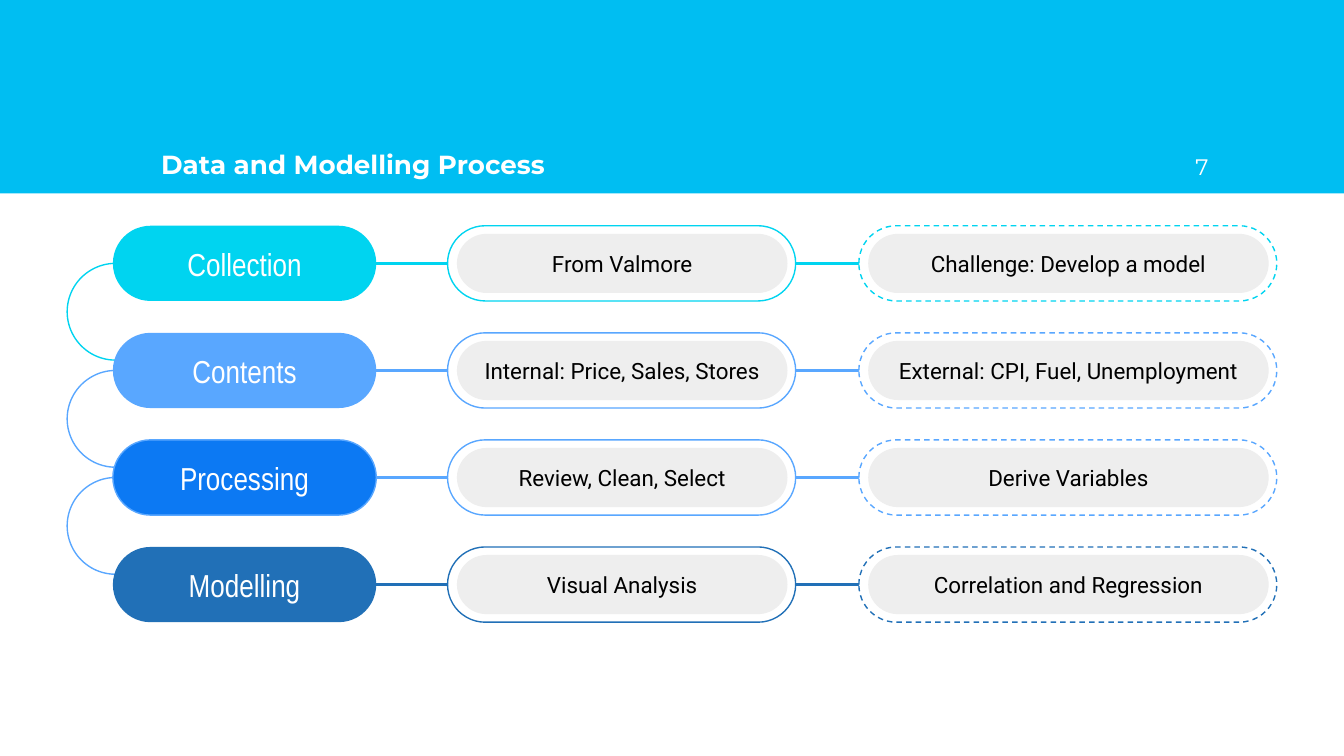
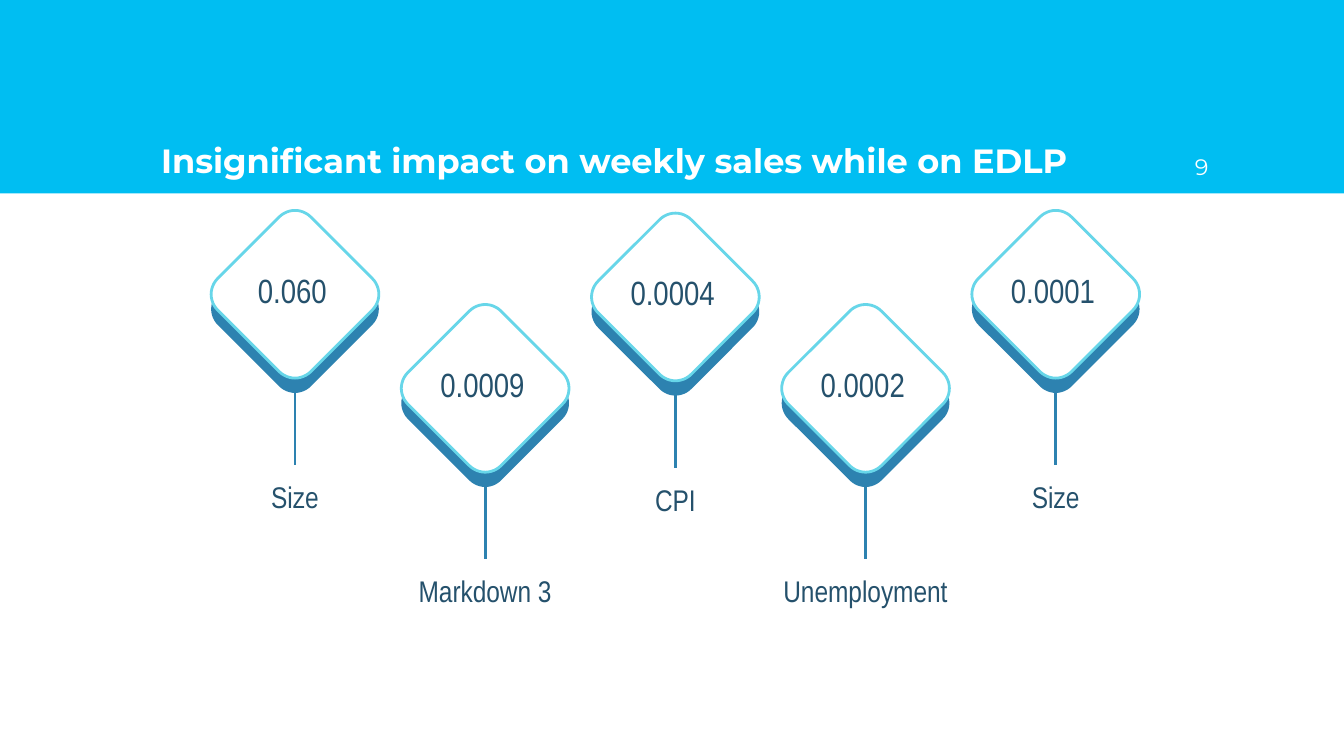
from pptx import Presentation
from pptx.dml.color import RGBColor
from pptx.enum.dml import MSO_LINE as Dash
from pptx.enum.shapes import MSO_CONNECTOR as Conn, MSO_SHAPE as Kind
from pptx.enum.text import MSO_ANCHOR as Anchor, PP_ALIGN as Align
from pptx.util import Inches, Pt
from lxml.etree import SubElement
from pptx.oxml.ns import qn

WHITE = RGBColor(0xFF, 0xFF, 0xFF)
BLACK = RGBColor(0x00, 0x00, 0x00)
BAND = RGBColor(0x00, 0xBE, 0xF2)
GREY = RGBColor(0xEE, 0xEE, 0xEE)
CYAN = RGBColor(0x00, 0xD4, 0xF0)
SKY = RGBColor(0x59, 0xA7, 0xFF)
BLUE = RGBColor(0x0C, 0x79, 0xF3)
NAVY = RGBColor(0x21, 0x70, 0xB7)
TEAL = RGBColor(0x2D, 0x82, 0xB0)
AQUA = RGBColor(0x67, 0xD6, 0xE9)
INK = RGBColor(0x25, 0x51, 0x6C)

HEAD = "Montserrat"
BODY = "Roboto"
SLIM = "Arial Narrow"

STEPS = [
    ("Collection", "From Valmore", "Challenge: Develop a model", CYAN, CYAN, None),
    ("Contents", "Internal: Price, Sales, Stores", "External: CPI, Fuel, Unemployment", SKY, SKY, None),
    ("Processing", "Review, Clean, Select", "Derive Variables", BLUE, SKY, SKY),
    ("Modelling", "Visual Analysis", "Correlation and Regression", NAVY, NAVY, None),
]
GEMS = [
    ("0.060", "Size", 1.7),
    ("0.0009", "Markdown 3", 2.4),
    ("0.0004", "CPI", 1.72),
    ("0.0002", "Unemployment", 2.4),
    ("0.0001", "Size", 1.7),
]


def write(shape, text, font, size, color, align=Align.CENTER, anchor=Anchor.MIDDLE, bold=False):
    frame = shape.text_frame
    frame.word_wrap = True
    frame.vertical_anchor = anchor
    frame.margin_left = frame.margin_right = Inches(0.1)
    frame.margin_top = frame.margin_bottom = Inches(0.1)
    para = frame.paragraphs[0]
    para.alignment = align
    run = para.add_run()
    run.text = text
    run.font.name = font
    run.font.size = Pt(size)
    run.font.bold = bold
    run.font.color.rgb = color


def label(shapes, box, *args, **style):
    write(shapes.add_textbox(*map(Inches, box)), *args, **style)


def block(shapes, kind, box, fill=None, line=None, width=0.75, dash=None, adj=(), turn=0):
    shape = shapes.add_shape(kind, *map(Inches, box))
    shape.shadow.inherit = False
    shape.rotation = turn
    for spot, value in enumerate(adj):
        shape.adjustments[spot] = value
    if fill is None:
        shape.fill.background()
    else:
        shape.fill.solid()
        shape.fill.fore_color.rgb = fill
    if line is None:
        shape.line.fill.background()
    else:
        shape.line.color.rgb = line
        shape.line.width = Pt(width)
        if dash:
            shape.line.dash_style = dash
    return shape


def link(shapes, start, end, color):
    line = shapes.add_connector(Conn.STRAIGHT, *map(Inches, (*start, *end)))
    line.line.color.rgb = color
    line.line.width = Pt(1.5)
    SubElement(line._element.spPr, qn("a:effectLst"))


def pill(shapes, box, fill, line=None, dash=None):
    return block(shapes, Kind.ROUNDED_RECTANGLE, box, fill, line, dash=dash, adj=(0.5,))


def header(shapes, title, size, number):
    block(shapes, Kind.RECTANGLE, (0, 0, 10, 1.44), BAND)
    top, high = 0.71, 0.73
    label(shapes, (1.1, top, 7.8, high), title, HEAD, size, WHITE,
          align=Align.LEFT, anchor=Anchor.BOTTOM, bold=True)
    label(shapes, (8.49, top, 0.6, high), number, HEAD, 12, WHITE,
          align=Align.RIGHT, anchor=Anchor.BOTTOM)


def detail(shapes, box, text, color, dash=None):
    left, top, wide, high = box
    pill(shapes, box, WHITE, color, dash)
    inner = pill(shapes, (left + 0.07, top + 0.06, wide - 0.13, high - 0.12), GREY)
    write(inner, text, BODY, 12, BLACK)


def step(shapes, box, row, last):
    name, first, second, fill, color, edge = row
    left, top, wide, high = box
    mid = top + high / 2
    right = left + wide - 3.11
    link(shapes, (left + 1.96, mid), (right, mid), color)
    if not last:
        block(shapes, Kind.ARC, (left - 0.34, mid, 0.72, 0.72), line=color, adj=(50, 162.58))
    write(pill(shapes, (left, top, 1.96, high), fill, edge), name, SLIM, 17, WHITE)
    detail(shapes, (left + 2.49, top, 2.59, high), first, color)
    detail(shapes, (right, top, 3.11, high), second, color, Dash.DASH)


def gem(shapes, box, value, name):
    left, top, wide, high = box
    mid = left + wide / 2
    side = 0.98
    tile = Kind.ROUNDED_RECTANGLE
    edge = mid - side / 2
    block(shapes, tile, (edge, top + 0.11, side, side), TEAL, adj=(0.17,), turn=45)
    block(shapes, tile, (edge, top, side, side), WHITE, AQUA, 1.5, adj=(0.17,), turn=45)
    foot = top + high - 0.47
    link(shapes, (mid, top + 1.2), (mid, foot), TEAL)
    label(shapes, (left, foot, wide, 0.47), name, SLIM, 16, INK)
    label(shapes, (mid - 0.59, top + 0.22, 1.14, 0.47), value, SLIM, 18, INK)


def process(deck):
    shapes = deck.slides.add_slide(deck.slide_layouts[6]).shapes
    header(shapes, "Data and Modelling Process", 14, "7")
    gap = 2.39 / (len(STEPS) - 1)
    for spot, row in enumerate(STEPS):
        step(shapes, (0.84, 1.68 + spot * gap, 8.66, 0.56), row, row is STEPS[-1])


def impact(deck):
    shapes = deck.slides.add_slide(deck.slide_layouts[6]).shapes
    header(shapes, "Insignificant impact on weekly sales while on EDLP", 18, "9")
    gap = 5.66 / (len(GEMS) - 1)
    for spot, (value, name, top) in enumerate(GEMS):
        group = shapes.add_group_shape()
        gem(group.shapes, (1.31 + spot * gap, top, 1.77, 2.23), value, name)


def main():
    deck = Presentation()
    deck.slide_width = Inches(10)
    deck.slide_height = Inches(10 * 9 / 16)
    process(deck)
    impact(deck)
    deck.save("out.pptx")


if __name__ == "__main__":
    main()
